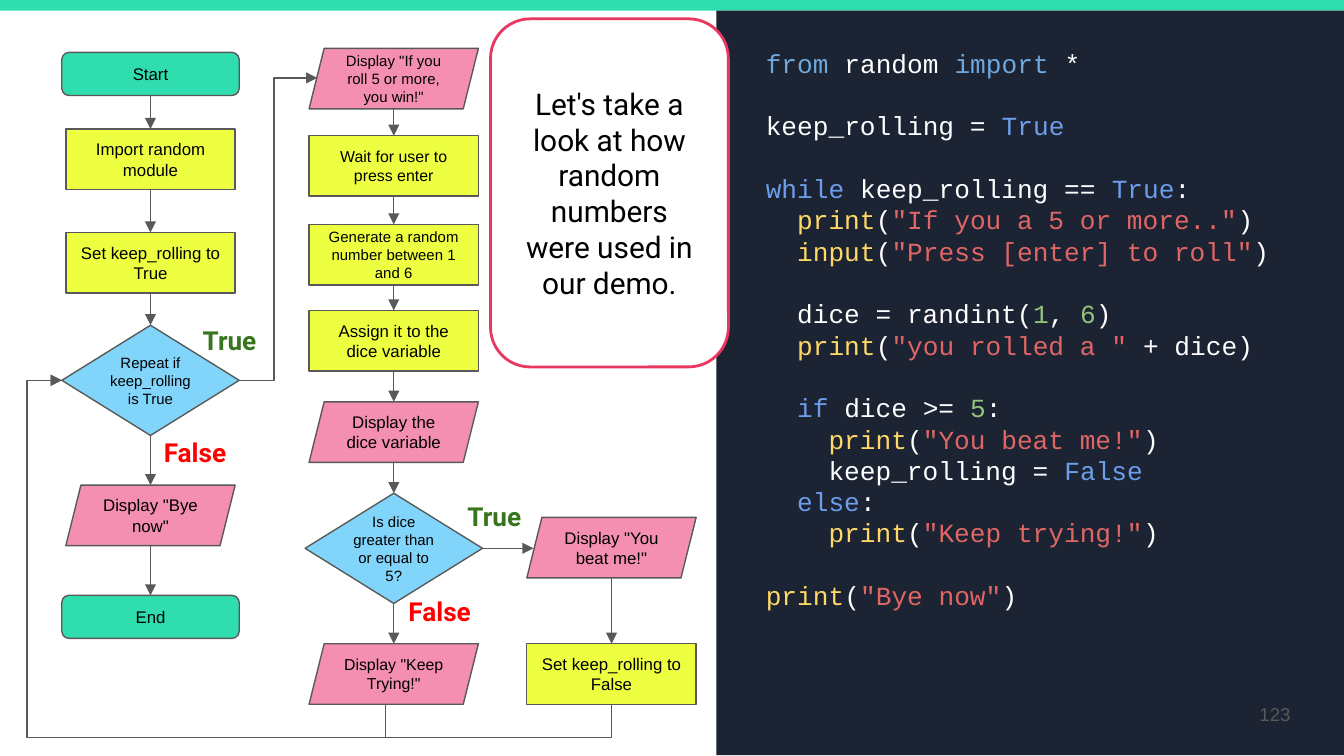
from dataclasses import dataclass
from itertools import pairwise

from lxml.etree import SubElement as Sub
from pptx import Presentation
from pptx.dml.color import RGBColor as Rgb
from pptx.enum.shapes import MSO_CONNECTOR as Link, MSO_SHAPE as Form
from pptx.enum.text import MSO_ANCHOR as Anchor, PP_ALIGN as Align
from pptx.oxml.ns import qn
from pptx.util import Inches, Pt


@dataclass(frozen=True)
class Theme:
    """Hold the colours, fonts and type sizes."""
    teal: str = "30DDAE"
    navy: str = "1C2333"
    lime: str = "EEFF41"
    sky: str = "81D4FA"
    pink: str = "F48FB1"
    rose: str = "E93761"
    gray: str = "595959"
    white: str = "FFFFFF"
    black: str = "000000"
    green: str = "38761D"
    red: str = "FF0000"
    pale: str = "6FA8DC"
    blue: str = "6D9EEB"
    gold: str = "FFD966"
    coral: str = "E06666"
    leaf: str = "93C47D"
    sans: str = "Arial"
    mono: str = "Courier New"
    head: str = "Roboto"
    tiny: float = 8
    small: float = 8.5
    node: float = 9
    page: float = 10
    code: float = 14
    lead: float = 16
    pitch: float = 16.77


T = Theme()
KINDS = {
    "end": (Form.ROUNDED_RECTANGLE, 1.32, 0.32, T.teal, 0.1),
    "step": (Form.RECTANGLE, 1.26, 0.45, T.lime, 0.1),
    "show": (Form.PARALLELOGRAM, 1.26, 0.45, T.pink, 0.1),
    "test": (Form.FLOWCHART_DECISION, 1.32, 0.82, T.sky, 0),
}
LEFT, MID, RIGHT = 1.12, 2.93, 4.55
FLOW = {
    LEFT: [
        ("end", 0.39, "Start", T.node),
        ("step", 0.96, "Import random module", T.node),
        ("step", 1.73, "Set keep_rolling to True", T.node),
        ("test", 2.42, "Repeat if keep_rolling is True", T.tiny),
        ("show", 3.61, 'Display "Bye now"', T.node),
        ("end", 4.43, "End", T.node),
    ],
    MID: [
        ("show", 0.36, 'Display "If you roll 5 or more, you win!"', T.tiny),
        ("step", 1.01, "Wait for user to press enter", T.small),
        ("step", 1.67, "Generate a random number between 1 and 6", T.tiny),
        ("step", 2.31, "Assign it to the dice variable", T.node),
        ("show", 2.99, "Display the dice variable", T.node),
        ("test", 3.67, "Is dice greater than or equal to 5?", T.tiny),
        ("show", 4.79, 'Display "Keep Trying!"', T.small),
    ],
    RIGHT: [
        ("show", 3.85, 'Display "You beat me!"', T.node),
        ("step", 4.79, "Set keep_rolling to False", T.node),
    ],
}
BACK = [(0.2, 5.49), (0.2, 2.83), (0.46, 2.83)]
BENDS = [
    [(1.78, 2.83), (2.04, 2.83), (2.04, 0.58), (2.36, 0.58)],
    [(2.87, 5.24), (2.87, 5.49), *BACK],
    [(RIGHT, 5.24), (RIGHT, 5.49), *BACK],
]
TAGS = [
    (1.41, 2.31, 0.65, "True", T.green),
    (3.38, 3.62, 0.65, "True", T.green),
    (1.12, 3.15, 0.72, "False", T.red),
    (2.94, 4.33, 0.72, "False", T.red),
]


def call(name, text, *rest):
    """Return the coloured parts of a call with a string."""
    return [(name, T.gold), ("(", T.white), (f'"{text}"', T.coral), *rest, (")", T.white)]


CODE = [
    (0, 0, [("from", T.pale), (" random ", T.white), ("import", T.pale), (" *", T.white)]),
    (1, 0, [("keep_rolling = ", T.white), ("True", T.blue)]),
    (1, 0, [("while", T.blue), (" keep_rolling == ", T.white), ("True", T.blue), (":", T.white)]),
    (0, 1, call("print", "If you a 5 or more..")),
    (0, 1, call("input", "Press [enter] to roll")),
    (1, 1, [("dice = randint(", T.white), ("1", T.leaf), (", ", T.white), ("6", T.leaf),
            (")", T.white)]),
    (0, 1, call("print", "you rolled a ", (" + dice", T.white))),
    (1, 1, [("if", T.blue), (" dice >= ", T.white), ("5", T.leaf), (":", T.white)]),
    (0, 2, call("print", "You beat me!")),
    (0, 2, [("keep_rolling = ", T.white), ("False", T.blue)]),
    (0, 1, [("else", T.blue), (":", T.white)]),
    (0, 2, call("print", "Keep trying!")),
    (1, 0, call("print", "Bye now")),
]


def write(para, text, *, size=T.node, font=T.sans, color=T.black, bold=False, align=None):
    """Add a run of text with its format."""
    run = para.add_run()
    run.text = text
    run.font.size, run.font.name, run.font.bold = Pt(size), font, bold
    run.font.color.rgb = Rgb.from_string(color)
    if align is not None:
        para.alignment = align


def fit(frame, inset=0.1, anchor=Anchor.TOP):
    """Set the wrap, insets and anchor of a frame."""
    frame.word_wrap = True
    frame.vertical_anchor = anchor
    frame.margin_left = frame.margin_right = Inches(inset)
    frame.margin_top = frame.margin_bottom = Inches(inset)
    return frame


def stroke(line, color=T.gray, width=0.75, tip=False):
    """Set the colour, width and arrowhead of a line."""
    line.color.rgb = Rgb.from_string(color)
    line.width = Pt(width)
    if tip:
        Sub(line._get_or_add_ln(), qn("a:tailEnd"), type="triangle")


def block(slide, form, x, y, w, h, fill):
    """Add a filled shape with no line."""
    shape = slide.shapes.add_shape(form, *map(Inches, (x, y, w, h)))
    shape.shadow.inherit = False
    shape.fill.solid()
    shape.fill.fore_color.rgb = Rgb.from_string(fill)
    shape.line.fill.background()
    return shape


def label(slide, x, y, w, h, text, anchor=Anchor.TOP, **form):
    """Add a text box with one line."""
    box = slide.shapes.add_textbox(*map(Inches, (x, y, w, h)))
    write(fit(box.text_frame, anchor=anchor).paragraphs[0], text, **form)


def node(slide, mid, kind, top, text, size):
    """Add a flow chart node centred on a column."""
    form, w, h, fill, inset = KINDS[kind]
    shape = block(slide, form, mid - w / 2, top, w, h, fill)
    stroke(shape.line)
    frame = fit(shape.text_frame, inset, Anchor.MIDDLE)
    write(frame.paragraphs[0], text, size=size, align=Align.CENTER)


def arrow(slide, start, end):
    """Add a straight arrow."""
    link = slide.shapes.add_connector(Link.STRAIGHT, *map(Inches, start + end))
    stroke(link.line, tip=True)
    Sub(link._element.spPr, qn("a:effectLst"))


def bend(slide, points):
    """Add an arrow that turns at each point."""
    start, *rest = [(Inches(x), Inches(y)) for x, y in points]
    pen = slide.shapes.build_freeform(*start)
    pen.add_line_segments(rest, close=False)
    shape = pen.convert_to_shape()
    shape.shadow.inherit = False
    shape.fill.background()
    stroke(shape.line, tip=True)


def column(slide, mid, nodes):
    """Add a column of nodes and the arrows between them."""
    for item in nodes:
        node(slide, mid, *item)
    for (kind, top, *_), (_, low, *_) in pairwise(nodes):
        arrow(slide, (mid, top + KINDS[kind][2]), (mid, low))


def listing(slide):
    """Add the code with its indents and gaps."""
    box = slide.shapes.add_textbox(*map(Inches, (5.6, 0.25, 4.1, 4.85)))
    frame = fit(box.text_frame)
    for pos, (gap, level, parts) in enumerate(CODE):
        para = frame.add_paragraph() if pos else frame.paragraphs[0]
        para.line_spacing = Pt(T.pitch)
        para.space_before = Pt(T.pitch * gap)
        para._p.get_or_add_pPr().set("marL", str(Pt(T.code * 1.2 * level)))
        for text, color in parts:
            write(para, text, size=T.code, font=T.mono, color=color)


def main():
    """Build and save the slide."""
    deck = Presentation()
    deck.slide_width, deck.slide_height = Inches(10), Inches(5.625)
    slide = deck.slides.add_slide(deck.slide_layouts[6])
    block(slide, Form.RECTANGLE, -0.01, 0, 10.02, 0.08, T.teal)
    block(slide, Form.RECTANGLE, 5.33, 0.08, 4.67, 5.54, T.navy)
    listing(slide)
    label(slide, 9.1, 5.1, 0.6, 0.43, "123", Anchor.MIDDLE,
          size=T.page, color=T.gray, align=Align.RIGHT)
    for mid, nodes in FLOW.items():
        column(slide, mid, nodes)
    arrow(slide, (3.59, 4.08), (3.97, 4.08))
    for points in BENDS:
        bend(slide, points)
    for x, y, w, text, color in TAGS:
        label(slide, x, y, w, 0.52, text, size=T.code, font=T.head, color=color, bold=True)
    note = block(slide, Form.ROUNDED_RECTANGLE, 3.65, 0.14, 1.77, 2.59, T.white)
    stroke(note.line, T.rose, 1.5)
    write(fit(note.text_frame, 0.11, Anchor.MIDDLE).paragraphs[0],
          "Let's take a look at how random numbers were used in our demo.",
          size=T.lead, font=T.head, align=Align.CENTER)
    deck.save("out.pptx")


if __name__ == "__main__":
    main()
